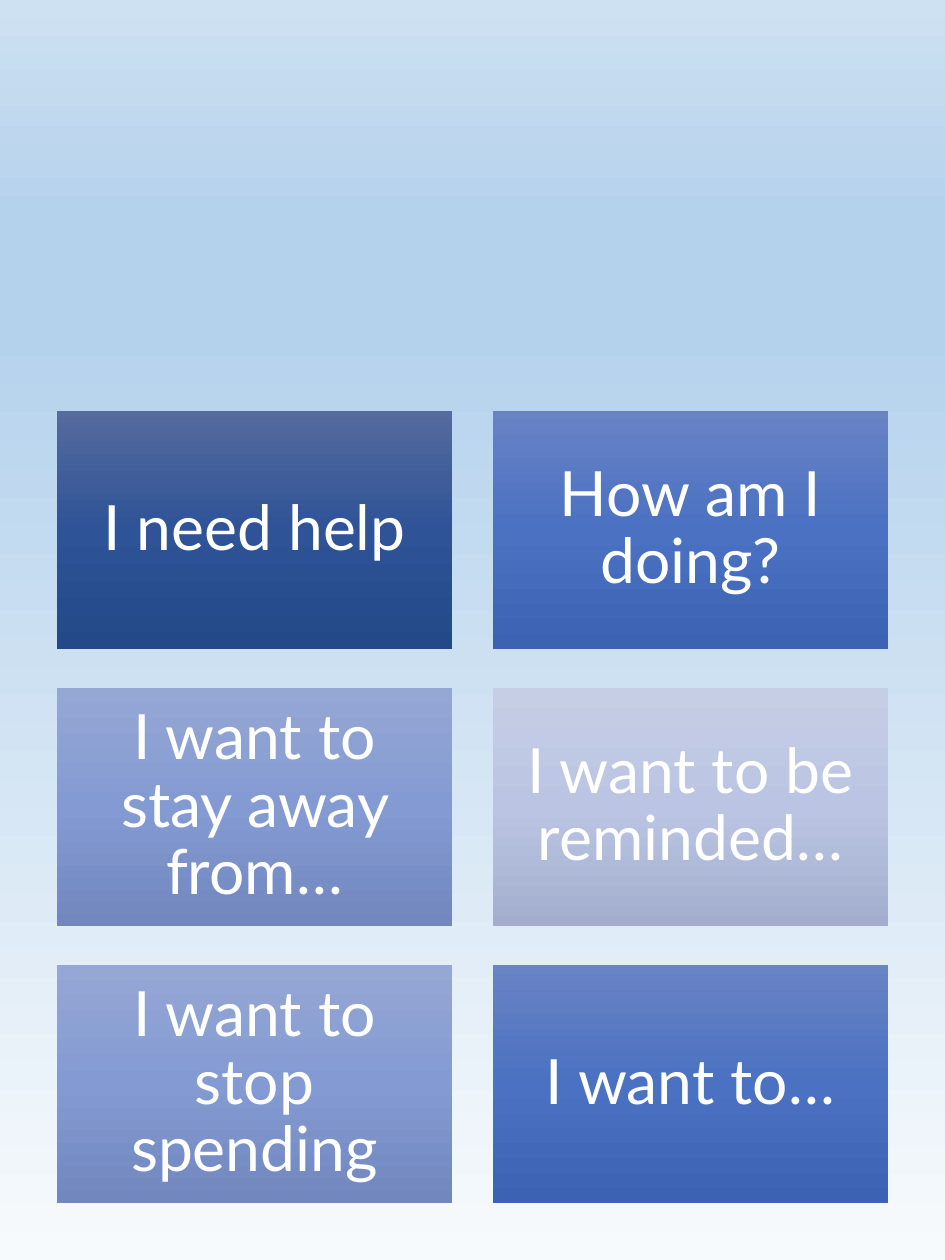
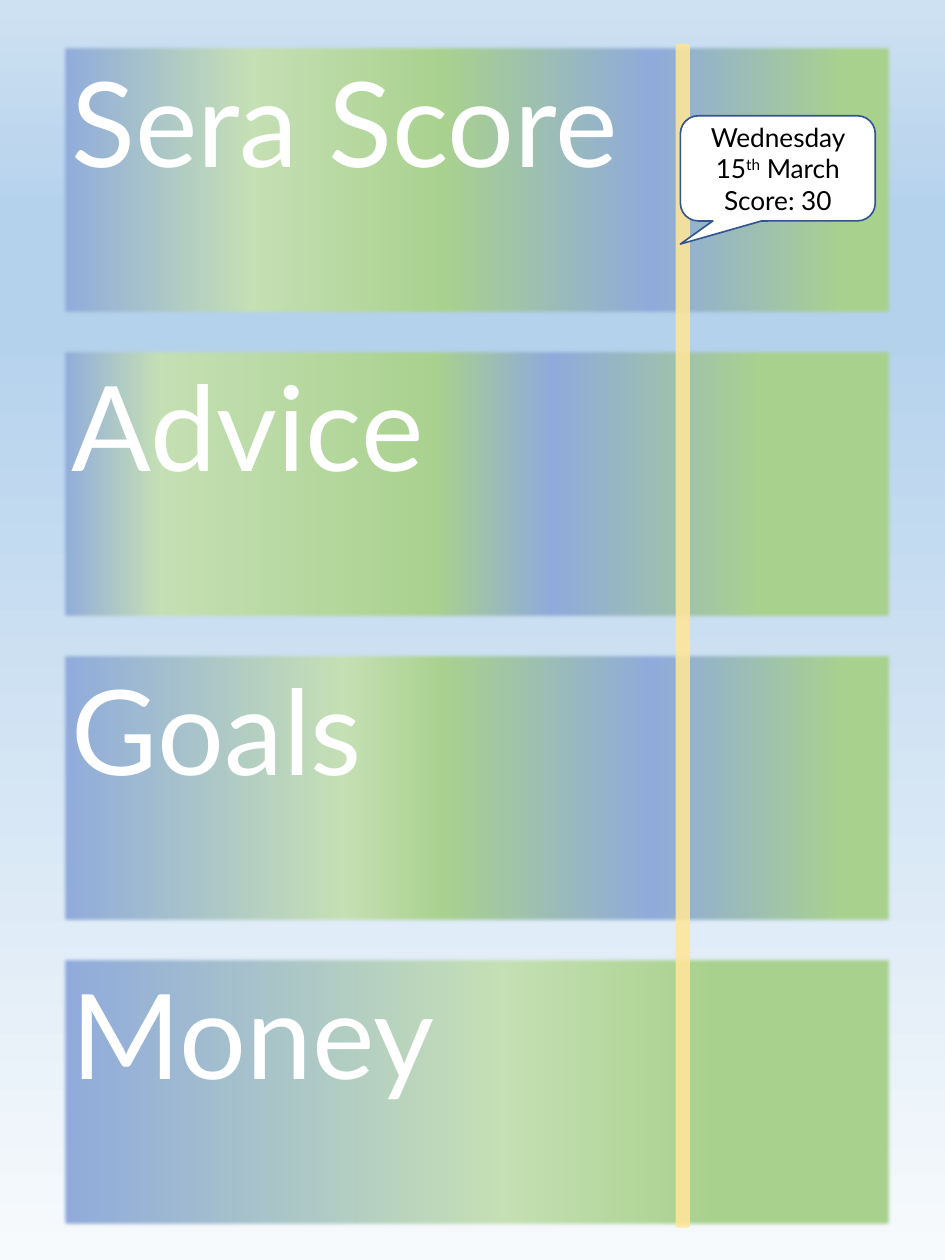
from lxml import etree
from pptx import Presentation
from pptx.dml.color import RGBColor
from pptx.enum.shapes import MSO_SHAPE
from pptx.enum.text import MSO_ANCHOR, PP_ALIGN
from pptx.oxml.ns import qn
from pptx.util import Inches, Pt

FONT = "Lato"
COLORS = {
    "white": "FFFFFF", "black": "000000", "outline": "325491",
    "marker": "FFE699", "blue": "8FAADC", "pale": "C5E0B4", "green": "A9D18E",
}
SKY = [(0, "F7FAFD"), (74, "B5D2EC"), (83, "B5D2EC"), (100, "CEE1F2")]

# Top, middle and bottom colour of each tile shade
SHADES = {
    "navy": ("566B9E", "2E5396", "244989"),
    "royal": ("6983C4", "4A71C2", "3C62B3"),
    "soft": ("95A7D4", "849AD2", "7187BE"),
    "mist": ("C6CEE6", "BBC5E3", "A3ADCD"),
}
REQUESTS = [
    ("I need help", "navy"), ("How am I doing?", "royal"),
    ("I want to stay away from…", "soft"), ("I want to be reminded…", "mist"),
    ("I want to stop spending", "soft"), ("I want to…", "royal"),
]
TILE = {"left": 0.48, "top": 3.48, "width": 3.35, "height": 2.01}
TILES_WIDTH, TILES_HEIGHT = 7.04, 6.7

WAVE = ("blue", "pale", "green", "blue", "green")
TOPICS = [
    ("Sera Score", (0, 23, 46, 71, 94), WAVE),
    ("Advice", (0, 12, 45, 59, 84), WAVE),
    ("Goals", (0, 34, 46, 71, 94), WAVE),
    ("Money", (0, 53, 78, 94), ("blue", "pale", "green", "green")),
]
BAND = {"left": 0.51, "top": 0.37, "width": 7.05, "height": 2.3}
BANDS_HEIGHT = 10.02


def rgb(name):
    return RGBColor.from_string(COLORS[name])


def set_gradient(properties, stops, angle):
    """Swap the solid fill inside properties for a linear gradient."""
    gradient = etree.Element(qn("a:gradFill"), rotWithShape="1")
    stop_list = etree.SubElement(gradient, qn("a:gsLst"))
    for percent, color in stops:
        stop = etree.SubElement(stop_list, qn("a:gs"), pos=str(percent * 1000))
        etree.SubElement(stop, qn("a:srgbClr"), val=color)
    etree.SubElement(gradient, qn("a:lin"), ang=str(angle * 60000), scaled="0")
    solid = properties.find(qn("a:solidFill"))
    properties.replace(solid, gradient)


def add_sky_slide(deck):
    slide = deck.slides.add_slide(deck.slide_layouts[6])
    slide.background.fill.solid()
    slide.background.fill.fore_color.rgb = rgb("white")
    set_gradient(next(slide.element.iter(qn("p:bgPr"))), SKY, 270)
    return slide


def add_filled(slide, kind, left, top, width, height, color="white"):
    shape = slide.shapes.add_shape(
        kind, Inches(left), Inches(top), Inches(width), Inches(height))
    shape.shadow.inherit = False
    shape.fill.solid()
    shape.fill.fore_color.rgb = rgb(color)
    shape.line.fill.background()
    return shape


def write(shape, lines, size, color, align, frame_format, spacing=1.0):
    """Fill the shape with lines, each a list of (text, is_superscript) runs."""
    frame = shape.text_frame
    frame.word_wrap = True
    for name, value in frame_format.items():
        setattr(frame, name, value)
    for index, line in enumerate(lines):
        paragraph = frame.add_paragraph() if index else frame.paragraphs[0]
        paragraph.alignment = align
        paragraph.line_spacing = spacing
        for text, is_superscript in line:
            run = paragraph.add_run()
            run.text = text
            for name, value in {"name": FONT, "size": Pt(size)}.items():
                setattr(run.font, name, value)
            run.font.color.rgb = rgb(color)
            if is_superscript:
                run._r.get_or_add_rPr().set("baseline", "30000")


def add_request_tile(slide, index, request, shade):
    row, column = divmod(index, 2)
    left = TILE["left"] + column * (TILES_WIDTH - TILE["width"])
    top = TILE["top"] + row * (TILES_HEIGHT - TILE["height"]) / 2
    tile = add_filled(slide, MSO_SHAPE.RECTANGLE, left, top,
                      TILE["width"], TILE["height"])
    set_gradient(tile.element.spPr, zip((0, 50, 100), SHADES[shade]), 90)
    margins = {f"margin_{side}": Inches(0.16)
               for side in ("left", "top", "right", "bottom")}
    write(tile, [[(request, False)]], 38, "white", PP_ALIGN.CENTER,
          {"vertical_anchor": MSO_ANCHOR.MIDDLE, **margins}, 0.9)


def add_topic_band(slide, index, topic, positions, hues):
    gap = (BANDS_HEIGHT - BAND["height"]) / (len(TOPICS) - 1)
    band = add_filled(slide, MSO_SHAPE.RECTANGLE, BAND["left"],
                      BAND["top"] + index * gap, BAND["width"], BAND["height"])
    stops = zip(positions, (COLORS[hue] for hue in hues))
    set_gradient(band.element.spPr, stops, 0)
    effects = band.element.spPr.find(qn("a:effectLst"))
    etree.SubElement(effects, qn("a:softEdge"), rad=str(Pt(2.5)))
    write(band, [[(topic, False)]], 72, "white", PP_ALIGN.LEFT,
          {"vertical_anchor": MSO_ANCHOR.TOP})


def add_day_marker(slide):
    marker = add_filled(slide, MSO_SHAPE.ROUNDED_RECTANGLE, 5.72, BAND["top"],
                        0.12, BANDS_HEIGHT, "marker")
    color = marker.element.spPr.find(qn("a:solidFill"))[0]
    etree.SubElement(color, qn("a:alpha"), val="87000")


def add_score_callout(slide):
    callout = add_filled(slide, MSO_SHAPE.ROUNDED_RECTANGULAR_CALLOUT,
                         5.76, 0.98, 1.65, 0.89)
    for index, value in enumerate((-0.5, 0.72, 0.17)):
        callout.adjustments[index] = value
    callout.line.color.rgb = rgb("outline")
    callout.line.width = Pt(1)
    write(callout,
          [[("Wednesday 15", False), ("th", True), (" March", False)],
           [("Score: 30", False)]],
          16, "black", PP_ALIGN.CENTER, {"vertical_anchor": MSO_ANCHOR.MIDDLE})


def main():
    deck = Presentation()
    deck.slide_width, deck.slide_height = Inches(8), Inches(10.665)

    requests_slide = add_sky_slide(deck)
    for index, request in enumerate(REQUESTS):
        add_request_tile(requests_slide, index, *request)

    topics_slide = add_sky_slide(deck)
    for index, topic in enumerate(TOPICS):
        add_topic_band(topics_slide, index, *topic)
    add_day_marker(topics_slide)
    add_score_callout(topics_slide)

    deck.save("out.pptx")


if __name__ == "__main__":
    main()
